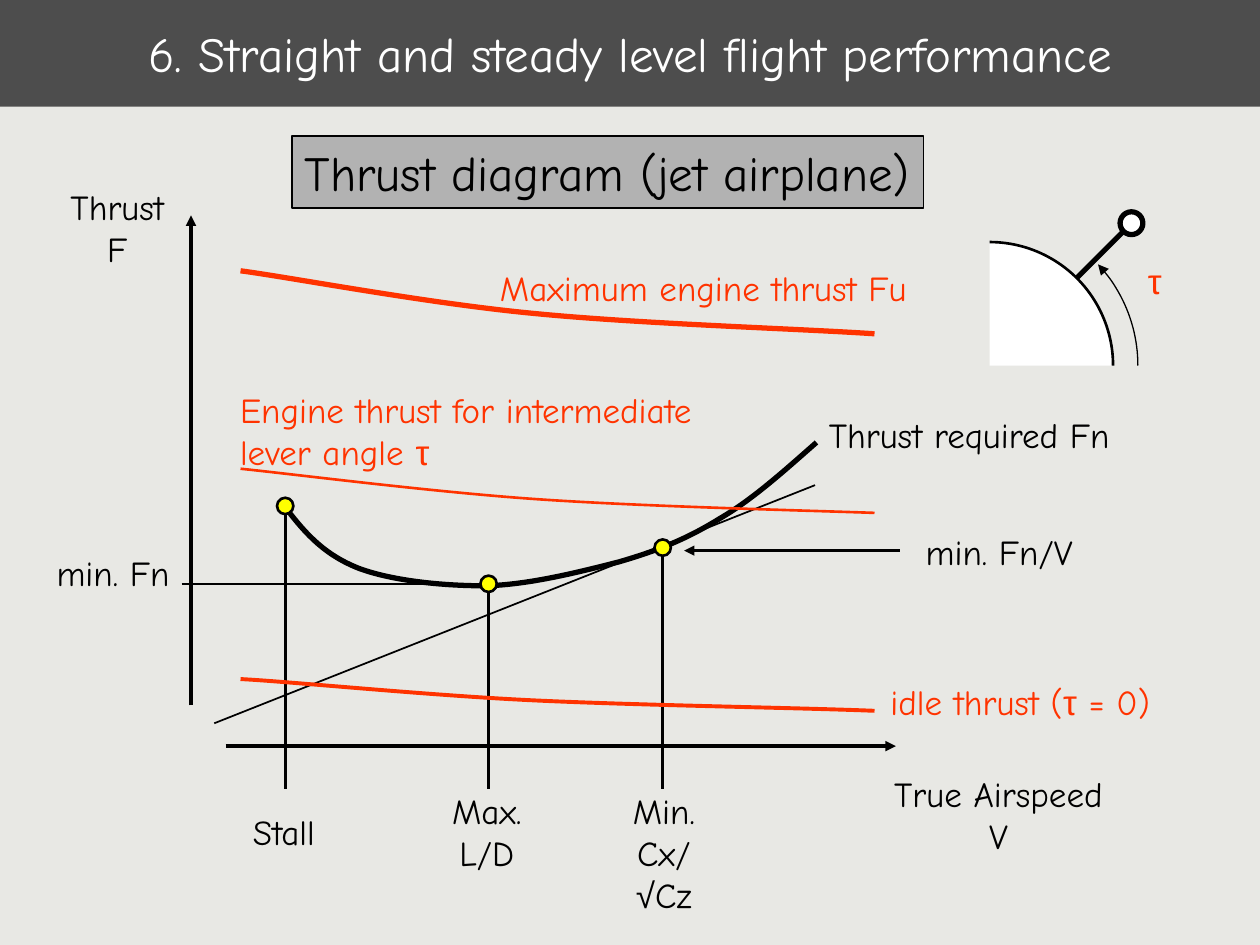
from dataclasses import dataclass
from itertools import groupby

from lxml import etree
from pptx import Presentation
from pptx.dml.color import RGBColor
from pptx.enum.shapes import MSO_CONNECTOR, MSO_SHAPE
from pptx.enum.text import MSO_ANCHOR, MSO_AUTO_SIZE, PP_ALIGN
from pptx.oxml.ns import qn
from pptx.util import Cm, Pt

STRAIGHT = MSO_CONNECTOR.STRAIGHT
RECT, OVAL, ARC = MSO_SHAPE.RECTANGLE, MSO_SHAPE.OVAL, MSO_SHAPE.ARC
LEFT, CENTER = PP_ALIGN.LEFT, PP_ALIGN.CENTER

Point = tuple[float, float]


@dataclass(frozen=True)
class Theme:
    font: str = "Comic Neue"
    symbol_font: str = "Arial"
    title_size: int = 28
    label_size: int = 20
    background: str = "E8E8E4"
    banner: str = "4D4D4D"
    box: str = "B2B2B2"
    ink: str = "000000"
    paper: str = "FFFFFF"
    engine: str = "FF3300"
    marker: str = "FFFF00"


@dataclass(frozen=True)
class Label:
    left: float
    top: float
    width: float
    lines: tuple[str, ...]
    color: str
    align: PP_ALIGN = LEFT
    wrap: bool = False
    inset: float = 0.25


@dataclass(frozen=True)
class Curve:
    """A chain of cubic Bézier segments: a start, then three points per segment."""
    points: tuple[Point, ...]
    color: str
    weight: float


THEME = Theme()
SYMBOLS = "τ√"
LINE_HEIGHT = 0.84

LABELS = (
    Label(1.17, 3.61, 2.39, ("Thrust", "F"), THEME.ink, CENTER),
    Label(17.63, 15.44, 5, ("True Airspeed", "V"), THEME.ink, CENTER),
    Label(16.46, 8.22, 6.2, ("Thrust required Fn",), THEME.ink),
    Label(0.89, 10.99, 2.79, ("min. Fn",), THEME.ink),
    Label(18.41, 10.57, 3.48, ("min. Fn/V",), THEME.ink),
    Label(4.85, 16.21, 1.78, ("Stall",), THEME.ink),
    Label(8.86, 15.8, 1.91, ("Max.", "L/D"), THEME.ink, CENTER),
    Label(12.04, 15.8, 2.69, ("Min.", "Cx/√Cz"), THEME.ink, CENTER, True, 0.4),
    Label(9.83, 5.25, 8.71, ("Maximum engine thrust Fu",), THEME.engine),
    Label(4.59, 7.7, 14.12, ("Engine thrust for intermediate", "lever angle τ"),
          THEME.engine, wrap=True),
    Label(17.7, 13.59, 5.77, ("idle thrust (τ = 0)",), THEME.engine),
    Label(22.89, 5.11, 0.81, ("τ",), THEME.engine),
)

THRUST_REQUIRED = Curve((
    (5.74, 10.21), (6.2, 10.82), (6.58, 11.2), (7.24, 11.46),
    (7.92, 11.71), (8.92, 11.81), (9.78, 11.81),
    (10.67, 11.79), (11.68, 11.53), (12.47, 11.33),
    (13.26, 11.1), (13.84, 10.87), (14.5, 10.46),
    (15.16, 10.08), (15.8, 9.5), (16.46, 8.92)), THEME.ink, 3)

ENGINE_X = (4.85, 5.84, 8.64, 10.77, 12.9, 16.18, 17.63)
ENGINE_CURVES = tuple(
    Curve(tuple(zip(ENGINE_X, ys)), THEME.engine, weight) for ys, weight in (
        ((9.45, 9.55, 9.91, 10.06, 10.21, 10.29, 10.34), 1.5),
        ((5.46, 5.59, 6.12, 6.32, 6.53, 6.63, 6.73), 3),
        ((13.69, 13.74, 14.02, 14.12, 14.22, 14.27, 14.33), 2.25)))

SPEED_POINTS = ((5.75, 10.2), (9.85, 11.77), (13.36, 11.04))
DROP_END = 15.9
MARKER_SIZE = 0.33
DIAL_CENTER = (19.95, 7.37)


def rgb(color: str) -> RGBColor:
    return RGBColor.from_string(color)


def style(shape, fill: str | None, line: str | None, weight: float = 1) -> None:
    shape.shadow.inherit = False
    if fill:
        shape.fill.solid()
        shape.fill.fore_color.rgb = rgb(fill)
    else:
        shape.fill.background()
    if line:
        shape.line.color.rgb = rgb(line)
        shape.line.width = Pt(weight)
    else:
        shape.line.fill.background()


def add_arrowhead(shape, end: str) -> None:
    """Put a triangle on the "headEnd" (start) or "tailEnd" of an outline."""
    etree.SubElement(shape.line._get_or_add_ln(), qn(f"a:{end}"), type="triangle")


def add_runs(p, text: str, size: float, color: str) -> None:
    """Write text run by run, with symbols in their own font."""
    for is_symbol, chars in groupby(text, lambda c: c in SYMBOLS):
        r = p.add_run()
        r.text = "".join(chars)
        r.font.name = THEME.symbol_font if is_symbol else THEME.font
        r.font.size = Pt(size)
        r.font.color.rgb = rgb(color)


def draw_label(s, label: Label) -> None:
    box = s.shapes.add_textbox(Cm(label.left), Cm(label.top), Cm(label.width),
                               Cm(LINE_HEIGHT * len(label.lines) + 0.25))
    tf = box.text_frame
    tf.word_wrap = label.wrap
    tf.auto_size = MSO_AUTO_SIZE.SHAPE_TO_FIT_TEXT
    tf.margin_left = tf.margin_right = Cm(label.inset)
    for i, line in enumerate(label.lines):
        p = tf.add_paragraph() if i else tf.paragraphs[0]
        p.alignment = label.align
        add_runs(p, line, THEME.label_size, label.color)


def draw_line(s, start: Point, end: Point, weight: float, arrow: bool = False) -> None:
    line = s.shapes.add_connector(STRAIGHT, *map(Cm, start + end))
    line.line.color.rgb = rgb(THEME.ink)
    line.line.width = Pt(weight)
    if arrow:
        add_arrowhead(line, "tailEnd")
    etree.SubElement(line._element.spPr, qn("a:effectLst"))


def draw_curve(s, curve: Curve) -> None:
    """Build a freeform through all points, then join each three into a Bézier segment."""
    start, *rest = curve.points
    builder = s.shapes.build_freeform(*map(Cm, start))
    builder.add_line_segments([(Cm(x), Cm(y)) for x, y in rest], close=False)
    shape = builder.convert_to_shape()
    steps = list(shape._element.iter(qn("a:lnTo")))
    outline = steps[0].getparent()
    for i in range(0, len(steps), 3):
        segment = etree.SubElement(outline, qn("a:cubicBezTo"))
        for step in steps[i:i + 3]:
            segment.append(step[0])
            outline.remove(step)
    style(shape, None, curve.color, curve.weight)


def draw_round(s, kind: MSO_SHAPE, center: Point, size: float,
               fill: str | None, weight: float):
    """Draw an oval or arc whose full circle has this centre and diameter."""
    x, y = center
    shape = s.shapes.add_shape(kind, Cm(x - size / 2), Cm(y - size / 2), Cm(size), Cm(size))
    style(shape, fill, THEME.ink, weight)
    return shape


def draw_title(s) -> None:
    title = s.shapes.title
    title.left, title.top, title.width, title.height = Cm(0), Cm(0), Cm(25.4), Cm(2.15)
    style(title, THEME.banner, None)
    tf = title.text_frame
    tf.auto_size = MSO_AUTO_SIZE.NONE
    tf.vertical_anchor = MSO_ANCHOR.MIDDLE
    p = tf.paragraphs[0]
    p.alignment = CENTER
    add_runs(p, "6. Straight and steady level flight performance",
             THEME.title_size, THEME.paper)


def draw_heading(s) -> None:
    box = s.shapes.add_shape(RECT, Cm(5.89), Cm(2.74), Cm(12.73), Cm(1.45))
    style(box, THEME.box, THEME.ink)
    tf = box.text_frame
    tf.word_wrap = False
    tf.paragraphs[0].alignment = LEFT
    add_runs(tf.paragraphs[0], "Thrust diagram (jet airplane)", THEME.title_size, THEME.ink)


def draw_diagram(s) -> None:
    draw_line(s, (4.55, 15.04), (18.06, 15.04), 2, arrow=True)
    draw_line(s, (3.85, 14.22), (3.85, 4.34), 2, arrow=True)
    draw_curve(s, THRUST_REQUIRED)
    draw_line(s, (3.66, 11.77), (9.65, 11.77), 1)
    draw_line(s, (4.32, 14.58), (16.43, 9.78), 1)
    draw_line(s, (18.14, 11.1), (13.79, 11.1), 1.5, arrow=True)
    for x, y in SPEED_POINTS:
        draw_line(s, (x, y), (x, DROP_END), 1.5)
        draw_round(s, OVAL, (x, y), MARKER_SIZE, THEME.marker, 1.5)
    for curve in ENGINE_CURVES:
        draw_curve(s, curve)


def draw_thrust_lever(s) -> None:
    draw_line(s, (20.22, 7.09), (22.66, 4.65), 3)
    draw_round(s, OVAL, (22.81, 4.5), 0.46, THEME.paper, 3)
    travel = draw_round(s, ARC, DIAL_CENTER, 5.98, None, 0.75)
    travel.adjustments[0] = 190.2  # 317 degrees
    add_arrowhead(travel, "headEnd")
    draw_round(s, ARC, DIAL_CENTER, 4.98, THEME.paper, 1.5)


def main() -> None:
    prs = Presentation()
    prs.slide_width, prs.slide_height = Cm(25.4), Cm(19.05)
    s = prs.slides.add_slide(prs.slide_layouts[5])
    s.background.fill.solid()
    s.background.fill.fore_color.rgb = rgb(THEME.background)
    draw_title(s)
    draw_diagram(s)
    draw_thrust_lever(s)
    for label in LABELS:
        draw_label(s, label)
    draw_heading(s)
    prs.save("out.pptx")


if __name__ == "__main__":
    main()
